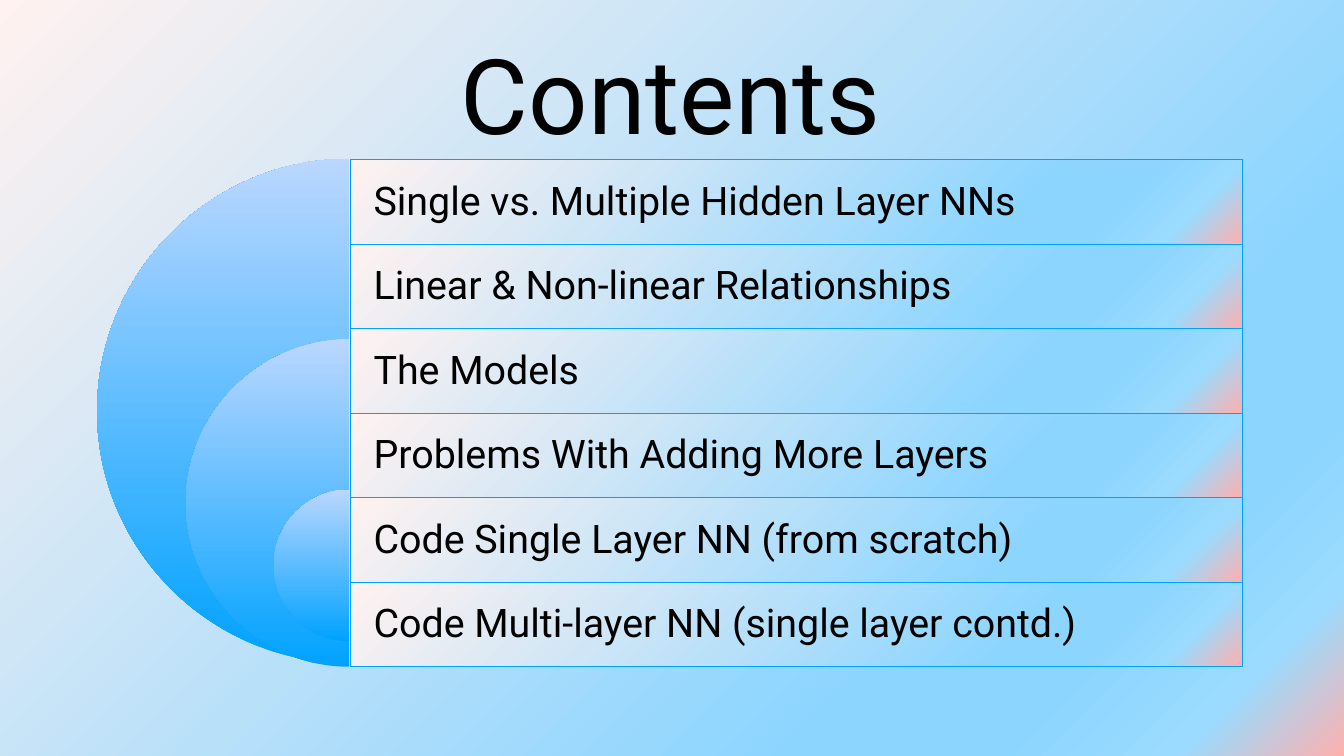
import pptx
import pptx.dml.color
import pptx.enum.text
import pptx.oxml
import pptx.oxml.ns
import pptx.util

RGBColor = pptx.dml.color.RGBColor
Inches = pptx.util.Inches
Pt = pptx.util.Pt
qn = pptx.oxml.ns.qn
DRAWING_NAMESPACE = pptx.oxml.ns.nsdecls("a")

BLACK = RGBColor(0x00, 0x00, 0x00)
BLUE = RGBColor(0x00, 0xA2, 0xFF)
PALE_BLUE = RGBColor(0xBA, 0xD7, 0xFF)
BLUSH = RGBColor(0xFF, 0xF2, 0xF0)
SKY = RGBColor(0x8C, 0xD5, 0xFF)
LIGHT_SKY = RGBColor(0x9B, 0xDB, 0xFF)
PINK = RGBColor(0xFF, 0xB0, 0xAE)

FONT = "Roboto"
SKY_STOPS = [(0, BLUSH), (74, SKY), (83, SKY), (92, LIGHT_SKY), (100, PINK)]
DISC_STOPS = [(0, BLUE), (100, PALE_BLUE)]

TOPICS = [
    "Single vs. Multiple Hidden Layer NNs",
    "Linear & Non-linear Relationships",
    "The Models",
    "Problems With Adding More Layers",
    "Code Single Layer NN (from scratch)",
    "Code Multi-layer NN (single layer contd.)",
]
TABLE_LEFT, TABLE_TOP = 4.94, 2.25
TABLE_WIDTH, TABLE_HEIGHT = 12.58, 7.16

DISC_RIGHT = 4.93
DISCS = [(5.80, 3.56), (7.10, 2.31), (7.98, 1.07)]  # centre height, radius
NEAR, FAR = 0.45, 1.55  # control points of a quarter circle, in radii
QUARTERS = [
    [(NEAR, 2), (0, FAR), (0, 1)],
    [(0, NEAR), (NEAR, 0), (1, 0)],
]


def gradient_fill(stops, degrees):
    """Return a linear a:gradFill element; degrees run clockwise."""
    stop_xml = "".join(
        f'<a:gs pos="{share * 1000}"><a:srgbClr val="{color}"/></a:gs>'
        for share, color in stops
    )
    return pptx.oxml.parse_xml(
        f'<a:gradFill {DRAWING_NAMESPACE} rotWithShape="1">'
        f"<a:gsLst>{stop_xml}</a:gsLst>"
        f'<a:lin ang="{degrees * 60000}" scaled="0"/></a:gradFill>'
    )


presentation = pptx.Presentation()
presentation.slide_width = Inches(18.96)
presentation.slide_height = Inches(10.67)
slide = presentation.slides.add_slide(presentation.slide_layouts[5])

# Background
slide.background.fill.solid()
background = slide.element.find(".//" + qn("p:bgPr"))
background.replace(background[0], gradient_fill(SKY_STOPS, 45))

# Nested half discs: straight corners first, then two sides become curves
disc_group = slide.shapes.add_group_shape()
for center, radius in DISCS:
    right, middle, reach = Inches(DISC_RIGHT), Inches(center), Inches(radius)
    builder = disc_group.shapes.build_freeform(right, middle + reach)
    builder.add_line_segments(
        [(right - reach, middle), (right, middle - reach), (right, middle)]
    )
    half_disc = builder.convert_to_shape()
    half_disc.shadow.inherit = False
    half_disc.line.fill.background()
    properties = half_disc.element.spPr
    properties.find(qn("a:ln")).addprevious(gradient_fill(DISC_STOPS, 270))
    sides = properties.findall(".//" + qn("a:lnTo"))
    for side, quarter in zip(sides, QUARTERS):
        points = "".join(
            f'<a:pt x="{round(x * reach)}" y="{round(y * reach)}"/>'
            for x, y in quarter
        )
        side.getparent().replace(side, pptx.oxml.parse_xml(
            f"<a:cubicBezTo {DRAWING_NAMESPACE}>{points}</a:cubicBezTo>"
        ))

# Title, in front of the discs
title = slide.shapes.title
title.element.getparent().append(title.element)
title.left, title.top = Inches(1.37), Inches(0.13)
title.width, title.height = Inches(16.19), Inches(2.36)
frame = title.text_frame
frame.text = "Contents"
frame.word_wrap = True
frame.auto_size = pptx.enum.text.MSO_AUTO_SIZE.NONE
frame.vertical_anchor = pptx.enum.text.MSO_ANCHOR.MIDDLE
frame.margin_left = frame.margin_right = Inches(0.06)
frame.margin_top = frame.margin_bottom = Inches(0.06)
paragraph = frame.paragraphs[0]
paragraph.alignment = pptx.enum.text.PP_ALIGN.CENTER
paragraph.font.name = FONT
paragraph.font.size = Pt(106)
paragraph.font.color.rgb = BLACK

# Topics
table = slide.shapes.add_table(
    len(TOPICS), 1, Inches(TABLE_LEFT), Inches(TABLE_TOP),
    Inches(TABLE_WIDTH), Inches(TABLE_HEIGHT),
).table
table.first_row = False
table.horz_banding = False
for row, topic in enumerate(TOPICS):
    cell = table.cell(row, 0)
    cell.text = topic
    cell.vertical_anchor = pptx.enum.text.MSO_ANCHOR.MIDDLE
    cell.margin_left = cell.margin_right = 0
    cell.margin_top = cell.margin_bottom = 0
    paragraph = cell.text_frame.paragraphs[0]
    paragraph.font.name = FONT
    paragraph.font.size = Pt(40)
    paragraph.font.color.rgb = BLACK
    paragraph_properties = paragraph._p.get_or_add_pPr()
    paragraph_properties.set("marL", "0")
    paragraph_properties.set("indent", str(Inches(0.33)))
    cell_properties = cell._tc.get_or_add_tcPr()
    for side in ("lnL", "lnR", "lnT", "lnB"):
        cell_properties.append(pptx.oxml.parse_xml(
            f'<a:{side} {DRAWING_NAMESPACE} w="{Pt(0.75)}"><a:solidFill>'
            f'<a:srgbClr val="{BLUE}"/></a:solidFill></a:{side}>'
        ))
    cell_properties.append(gradient_fill(SKY_STOPS, 45))

presentation.save("out.pptx")
